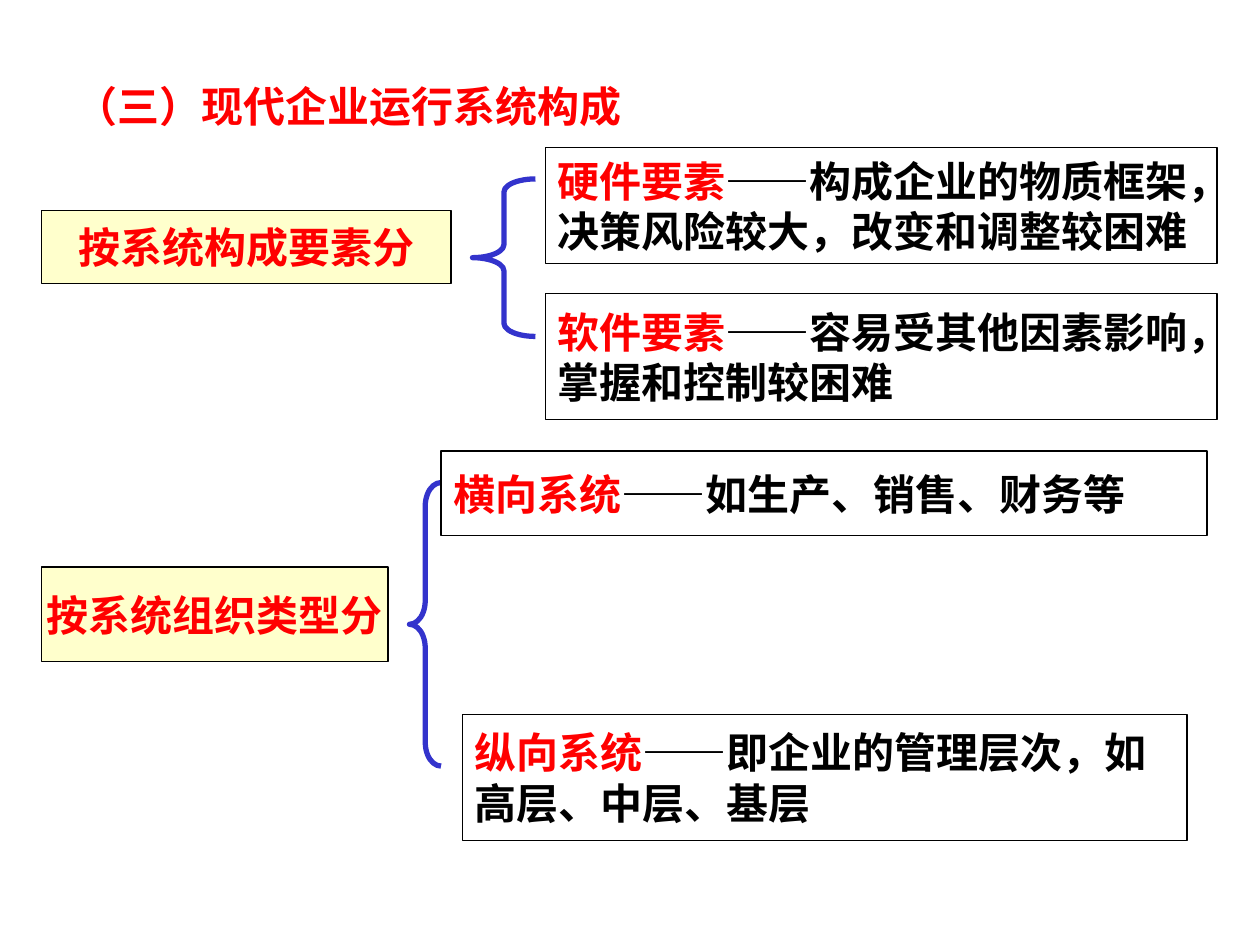
import pptx
import pptx.util
import pptx.dml.color
import pptx.enum.shapes
import pptx.enum.text
from pptx.util import Inches

COLORS = {
    "red": "FF0000",
    "black": "000000",
    "white": "FFFFFF",
    "cream": "FFFFCC",
    "blue": "3333CC",
}
SHAPE = pptx.enum.shapes.MSO_SHAPE
ALIGN = pptx.enum.text.PP_ALIGN


def tint(name):
    return pptx.dml.color.RGBColor.from_string(COLORS[name])


class Board:
    """Holds the text style and the slide being drawn on."""

    font = "Times New Roman"
    size = pptx.util.Pt(24)

    def __init__(self, slide):
        self.slide = slide

    def style(self, run, color):
        run.font.name = self.font
        run.font.size = self.size
        run.font.bold = True
        run.font.color.rgb = tint(color)

    def frame(self, shape, wrap):
        frame = shape.text_frame
        frame.word_wrap = wrap
        frame.auto_size = pptx.enum.text.MSO_AUTO_SIZE.NONE
        frame.vertical_anchor = pptx.enum.text.MSO_ANCHOR.MIDDLE
        return frame

    def title(self, text, left, top, width, height):
        shape = self.slide.shapes.title
        shape.left, shape.top = Inches(left), Inches(top)
        shape.width, shape.height = Inches(width), Inches(height)
        frame = self.frame(shape, True)
        frame.text = text
        line = frame.paragraphs[0]
        line.alignment = ALIGN.LEFT
        self.style(line.runs[0], "red")

    def shape(self, kind, box, line, weight):
        shape = self.slide.shapes.add_shape(kind, *map(Inches, box))
        shape.shadow.inherit = False
        shape.line.color.rgb = tint(line)
        shape.line.width = pptx.util.Pt(weight)
        return shape

    def box(self, lines, at, fill, align):
        """Draw a box; each line is a list of (text, color) runs."""
        shape = self.shape(SHAPE.RECTANGLE, at, "black", 0.75)
        shape.fill.solid()
        shape.fill.fore_color.rgb = tint(fill)
        frame = self.frame(shape, False)
        for i, runs in enumerate(lines):
            line = frame.add_paragraph() if i else frame.paragraphs[0]
            line.alignment = align
            for text, color in runs:
                run = line.add_run()
                run.text = text
                self.style(run, color)

    def label(self, text, *at):
        self.box([[(text, "red")]], at, "cream", ALIGN.CENTER)

    def note(self, term, lines, *at):
        rows = [[(text, "black")] for text in lines]
        rows[0].insert(0, (term, "red"))
        self.box(rows, at, "white", ALIGN.LEFT)

    def brace(self, *at):
        shape = self.shape(SHAPE.LEFT_BRACE, at, "blue", 3)
        shape.fill.background()
        width, height = at[2:]
        # each bend is a twelfth of the height
        shape.adjustments[0] = height / 12 / min(width, height)


def main():
    deck = pptx.Presentation()
    deck.slide_width, deck.slide_height = Inches(10), Inches(7.5)
    board = Board(deck.slides.add_slide(deck.slide_layouts[5]))

    board.title("（三）现代企业运行系统构成", 0.5, 0.42, 4.83, 0.83)

    board.label("按系统构成要素分", 0.33, 1.67, 3.25, 0.58)
    board.brace(3.75, 1.42, 0.5, 1.25)
    board.note("硬件要素", ["——构成企业的物质框架，", "决策风险较大，改变和调整较困难"],
               4.33, 1.17, 5.33, 0.92)
    board.note("软件要素", ["——容易受其他因素影响，", "掌握和控制较困难"],
               4.33, 2.33, 5.33, 1)

    board.label("按系统组织类型分", 0.33, 4.5, 2.75, 0.75)
    board.brace(3.25, 3.83, 0.25, 2.25)
    board.note("横向系统", ["——如生产、销售、财务等"], 3.5, 3.58, 6.08, 0.67)
    board.note("纵向系统", ["——即企业的管理层次，如", "高层、中层、基层"],
               3.67, 5.67, 5.75, 1)

    deck.save("out.pptx")


if __name__ == "__main__":
    main()
